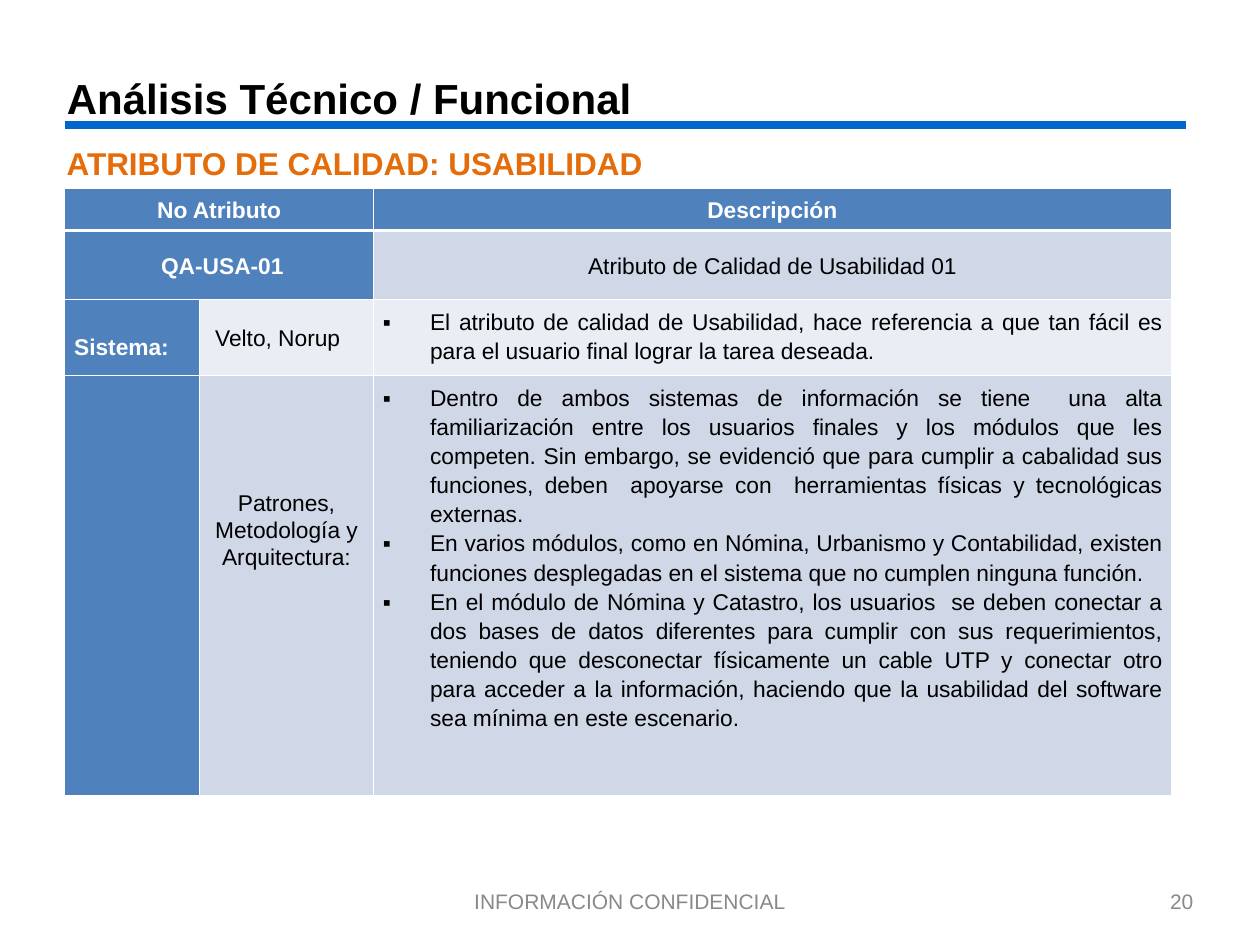
from lxml import etree
from pptx import Presentation
from pptx.dml.color import RGBColor
from pptx.enum import shapes, text
from pptx.oxml import ns
from pptx.util import Pt

LEFT, CENTER, RIGHT, JUSTIFY = (
    text.PP_ALIGN.LEFT, text.PP_ALIGN.CENTER, text.PP_ALIGN.RIGHT, text.PP_ALIGN.JUSTIFY)
TOP, MIDDLE = text.MSO_ANCHOR.TOP, text.MSO_ANCHOR.MIDDLE
BLUE, LIGHT, PALE = "4F81BD", "D0D8E8", "E9EDF4"
WHITE, BLACK, GREY, ORANGE = "FFFFFF", "000000", "898989", "E46C0A"

# Content
TITLE = "Análisis Técnico / Funcional"
TEXT_BOXES = [  # text, box, size, colour, bold, alignment, anchor
    ("ATRIBUTO DE CALIDAD: USABILIDAD", (31, 78.5, 641, 29), 18, ORANGE, True, LEFT, TOP),
    ("INFORMACIÓN CONFIDENCIAL", (246, 500.4, 228, 28.8), 12, GREY, False, CENTER, MIDDLE),
    ("20", (516, 500.4, 173, 28.8), 12, GREY, False, RIGHT, MIDDLE),
]
DEFINITION = [
    "El atributo de calidad de Usabilidad, hace referencia a que tan fácil es para el usuario "
    "final lograr la tarea deseada.",
]
FINDINGS = [
    "Dentro de ambos sistemas de información se tiene  una alta familiarización entre los "
    "usuarios finales y los módulos que les competen. Sin embargo, se evidenció que para "
    "cumplir a cabalidad sus funciones, deben  apoyarse con  herramientas físicas y "
    "tecnológicas externas.",
    "En varios módulos, como en Nómina, Urbanismo y Contabilidad, existen funciones "
    "desplegadas en el sistema que no cumplen ninguna función.",
    "En el módulo de Nómina y Catastro, los usuarios  se deben conectar a dos bases de datos "
    "diferentes para cumplir con sus requerimientos, teniendo que desconectar físicamente un "
    "cable UTP y conectar otro para acceder a la información, haciendo que la usabilidad del "
    "software sea mínima en este escenario.",
]
COLUMNS = [77, 99.4, 455.8]
ROWS = [23.4, 39.6, 43.2, 240]
MERGED_ROWS = [0, 1]
CELLS = {  # (row, column): lines, fill, alignment, anchor, line spacing, left and top margin
    (0, 0): (["No Atributo"], BLUE, CENTER, MIDDLE, 1.07, 5.4, 3.6),
    (0, 2): (["Descripción"], BLUE, CENTER, MIDDLE, 1.07, 5.4, 3.6),
    (1, 0): (["QA-USA-01"], BLUE, CENTER, MIDDLE, 1.15, 9, 3.6),
    (1, 2): (["Atributo de Calidad de Usabilidad 01"], LIGHT, CENTER, MIDDLE, 1.15, 5.4, 3.6),
    (2, 0): (["Sistema:"], BLUE, JUSTIFY, TOP, 1.07, 5.4, 19),
    (2, 1): (["Velto, Norup"], PALE, JUSTIFY, MIDDLE, 1.07, 9, 3.6),
    (2, 2): (DEFINITION, PALE, JUSTIFY, TOP, 1.15, 5.4, 3.6),
    (3, 0): ([], BLUE, LEFT, TOP, 1, 5.4, 3.6),
    (3, 1): (["Patrones, Metodología y Arquitectura:"], LIGHT, CENTER, TOP, 1.07, 5.4, 65),
    (3, 2): (FINDINGS, LIGHT, JUSTIFY, TOP, 1.15, 5.4, 3.6),
}


def paint(target, colour):
    """Give a fill or a font a solid colour."""
    if hasattr(target, "solid"):
        target.solid()
        target.fore_color.rgb = RGBColor.from_string(colour)
    else:
        target.color.rgb = RGBColor.from_string(colour)


def format_text(text_frame, size, colour, bold, alignment, spacing=None):
    for paragraph in text_frame.paragraphs:
        paragraph.alignment = alignment
        paragraph.line_spacing = spacing
        for run in paragraph.runs:
            run.font.name, run.font.size, run.font.bold = "Arial", Pt(size), bold
            paint(run.font, colour)


def place(shape, box):
    shape.left, shape.top, shape.width, shape.height = map(Pt, box)


def add_bullet(paragraph):
    properties = paragraph._p.get_or_add_pPr()
    properties.set("marL", str(Pt(27)))
    properties.set("indent", str(Pt(-27)))
    etree.SubElement(properties, ns.qn("a:buFont"), typeface="Arial")
    etree.SubElement(properties, ns.qn("a:buChar"), char="▪")


def set_borders(cell, widths):
    properties = cell._tc.get_or_add_tcPr()
    for index, (side, width) in enumerate(zip("LRTB", widths)):
        line = etree.Element(ns.qn(f"a:ln{side}"), w=str(Pt(width)))
        fill = etree.SubElement(line, ns.qn("a:solidFill"))
        etree.SubElement(fill, ns.qn("a:srgbClr"), val=WHITE)
        properties.insert(index, line)


presentation = Presentation()
presentation.slide_width, presentation.slide_height = Pt(720), Pt(540)
slide = presentation.slides.add_slide(presentation.slide_layouts[5])

# Title and rule below it
title = slide.shapes.title
place(title, (31, 33, 607, 45.4))
title.text_frame.text = TITLE
title.text_frame.vertical_anchor = MIDDLE
format_text(title.text_frame, 24, BLACK, True, LEFT)

rule = slide.shapes.add_connector(
    shapes.MSO_CONNECTOR.STRAIGHT, Pt(37), Pt(71.3), Pt(677.5), Pt(71.3))
rule.line.width = Pt(4.5)
paint(rule.line.fill, "0066CC")
etree.SubElement(rule._element.spPr, ns.qn("a:effectLst"))

# Subtitle and footer
for words, box, size, colour, bold, alignment, anchor in TEXT_BOXES:
    text_box = slide.shapes.add_textbox(*map(Pt, box))
    text_box.text_frame.word_wrap = True
    text_box.text_frame.vertical_anchor = anchor
    text_box.text_frame.text = words
    format_text(text_box.text_frame, size, colour, bold, alignment)

# Attribute table
table = slide.shapes.add_table(
    len(ROWS), len(COLUMNS), Pt(37), Pt(107.8), Pt(sum(COLUMNS)), Pt(sum(ROWS))).table
for column, width in zip(table.columns, COLUMNS):
    column.width = Pt(width)
for row, height in zip(table.rows, ROWS):
    row.height = Pt(height)
for row in MERGED_ROWS:
    table.cell(row, 0).merge(table.cell(row, 1))

for (row, column), (lines, fill, alignment, anchor, spacing, left, top) in CELLS.items():
    cell = table.cell(row, column)
    cell.text_frame.text = "\n".join(lines)
    cell.vertical_anchor = anchor
    cell.margin_left, cell.margin_right = Pt(left), Pt(5.4)
    cell.margin_top, cell.margin_bottom = Pt(top), Pt(3.6)
    paint(cell.fill, fill)
    on_blue = fill == BLUE
    format_text(cell.text_frame, 13, WHITE if on_blue else BLACK, on_blue, alignment, spacing)
    if lines in (DEFINITION, FINDINGS):
        for paragraph in cell.text_frame.paragraphs:
            add_bullet(paragraph)

# White grid, heavier under the header
for row in range(len(ROWS)):
    for column in range(len(COLUMNS)):
        above, below = (1.5 if row == 1 else 0.5), (1.5 if row == 0 else 0.5)
        set_borders(table.cell(row, column), (0.5, 0.5, above, below))

presentation.save("out.pptx")
